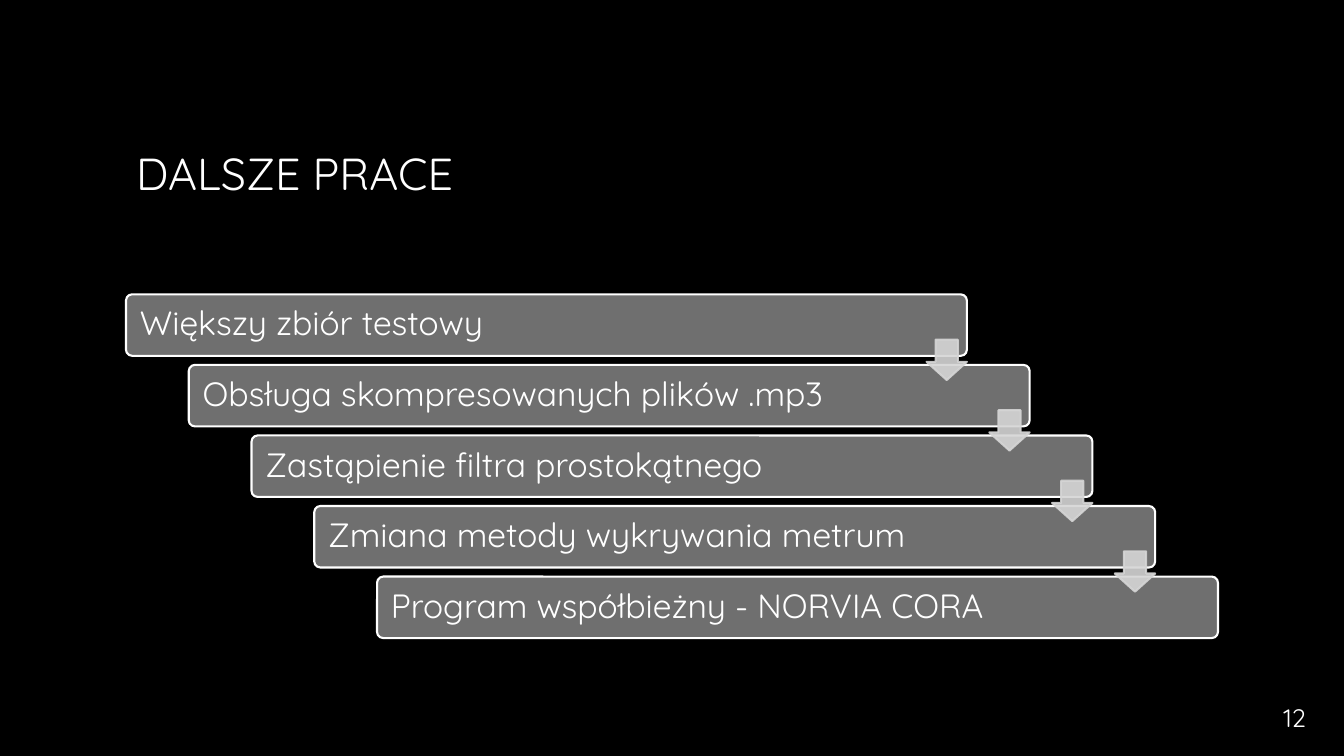
from dataclasses import dataclass

from lxml import etree
from pptx import Presentation
from pptx.dml.color import RGBColor
from pptx.enum.shapes import MSO_SHAPE
from pptx.enum.text import MSO_ANCHOR, PP_ALIGN
from pptx.oxml.ns import qn
from pptx.util import Inches, Pt

ROUND, ARROW = MSO_SHAPE.ROUNDED_RECTANGLE, MSO_SHAPE.DOWN_ARROW
MIDDLE, LEFT = MSO_ANCHOR.MIDDLE, PP_ALIGN.LEFT
FONT = "Quicksand"
COLORS = {"back": "000000", "text": "FFFFFF", "bar": "6F6F6F", "arrow": "D5D5D5"}

BAR_W, BAR_H = 8.34, 0.61
LEFT_X, TOP_Y = 1.25, 2.92
STEP_X, STEP_Y = (3.74 - LEFT_X) / 4, 0.7
ARROW_SIZE, ARROW_DROP = 0.4, 0.45


@dataclass
class Step:
    text: str
    left: float
    top: float


TASKS = [
    "Większy zbiór testowy",
    "Obsługa skompresowanych plików .mp3",
    "Zastąpienie filtra prostokątnego",
    "Zmiana metody wykrywania metrum",
    "Program współbieżny - NORVIA CORA",
]
STEPS = [Step(text, LEFT_X + i * STEP_X, TOP_Y + i * STEP_Y)
         for i, text in enumerate(TASKS)]


def color(name: str) -> RGBColor:
    return RGBColor.from_string(COLORS[name])


def write(frame, text: str, size: float):
    """Put one left-aligned run into the frame and return it."""
    para = frame.paragraphs[0]
    para.alignment = LEFT
    run = para.add_run()
    run.text = text
    run.font.size = Pt(size)
    run.font.name = FONT
    run.font.color.rgb = color("text")
    return run


def add_glow(run) -> None:
    """Give the run a soft grey drop shadow."""
    fill = run.font._element.find(qn("a:solidFill"))
    effects = etree.Element(qn("a:effectLst"))
    shadow = etree.SubElement(effects, qn("a:outerShdw"), blurRad="38100",
                              dist="25400", dir="2700000")
    tone = etree.SubElement(shadow, qn("a:srgbClr"), val="808080")
    etree.SubElement(tone, qn("a:alpha"), val="60000")
    fill.addnext(effects)


def add_block(slide, kind, box: tuple, fill: str, line: str):
    shape = slide.shapes.add_shape(kind, *map(Inches, box))
    shape.shadow.inherit = False
    shape.fill.solid()
    shape.fill.fore_color.rgb = color(fill)
    shape.line.color.rgb = color(line)
    shape.line.width = Pt(1.5)
    return shape


def add_bar(slide, step: Step) -> None:
    bar = add_block(slide, ROUND, (step.left, step.top, BAR_W, BAR_H), "bar", "text")
    bar.adjustments[0] = 0.1
    frame = bar.text_frame
    frame.word_wrap = True
    frame.vertical_anchor = MIDDLE
    frame.margin_left = Inches(0.12)
    write(frame, step.text, 24)
    frame.paragraphs[0].line_spacing = 0.9


def add_arrow(slide, step: Step) -> None:
    """Draw the arrow that leads from this step to the next."""
    box = (step.left + BAR_W - ARROW_SIZE, step.top + ARROW_DROP,
           ARROW_SIZE, ARROW_SIZE)
    arrow = add_block(slide, ARROW, box, "arrow", "arrow")
    arrow.adjustments[0] = 0.55
    arrow.adjustments[1] = 0.45
    for tone in arrow._element.spPr.iter(qn("a:srgbClr")):
        etree.SubElement(tone, qn("a:alpha"), val="90000")


def add_title(slide, text: str) -> None:
    title = slide.shapes.title
    title.left, title.top = Inches(1.25), Inches(0.67)
    title.width, title.height = Inches(10.83), Inches(2.08)
    title.text_frame.vertical_anchor = MIDDLE
    add_glow(write(title.text_frame, text, 32))


def add_number(slide, text: str) -> None:
    box = slide.shapes.add_textbox(*map(Inches, (12.63, 6.92, 0.56, 0.4)))
    box.text_frame.word_wrap = True
    write(box.text_frame, text, 18)


def main() -> None:
    deck = Presentation()
    deck.slide_width, deck.slide_height = Inches(13.33), Inches(7.5)
    slide = deck.slides.add_slide(deck.slide_layouts[5])
    slide.background.fill.solid()
    slide.background.fill.fore_color.rgb = color("back")
    add_title(slide, "DALSZE PRACE")
    add_number(slide, "12")
    for step in STEPS:
        add_bar(slide, step)
    for step in STEPS[:-1]:
        add_arrow(slide, step)
    deck.save("out.pptx")


if __name__ == "__main__":
    main()
